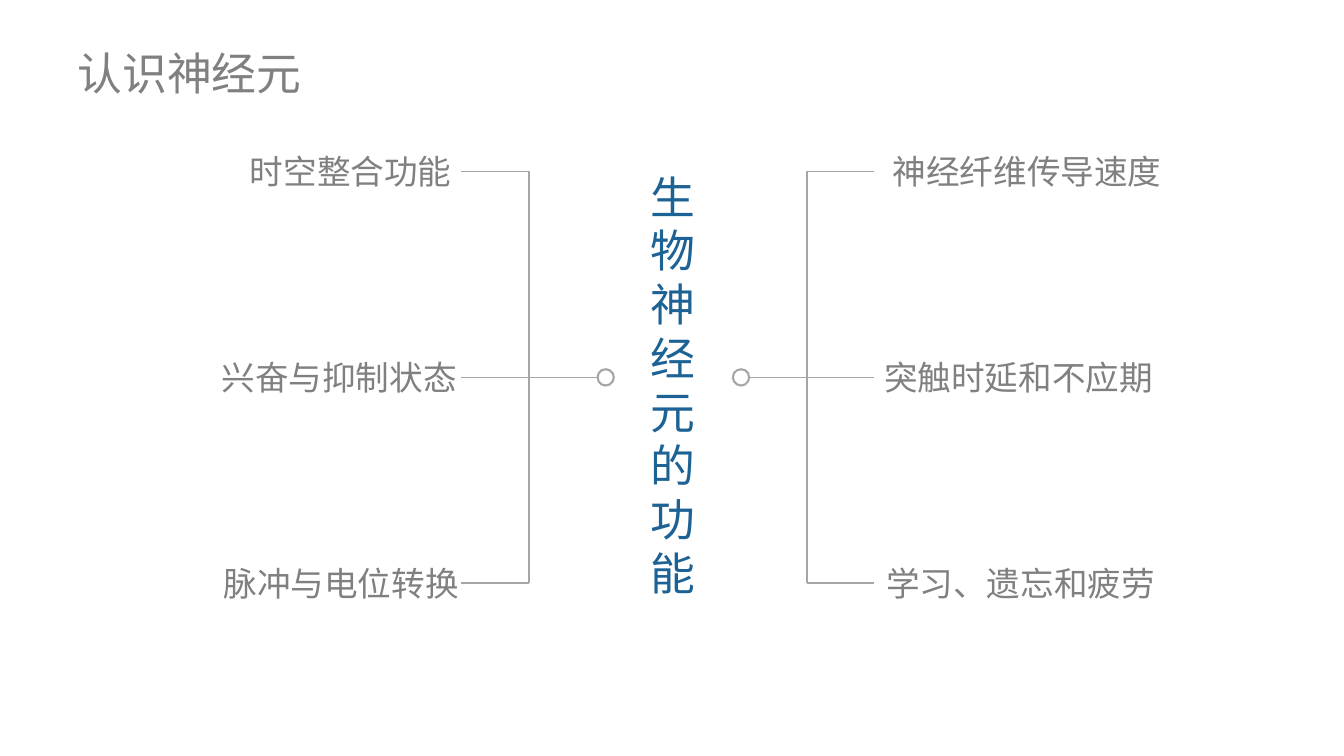
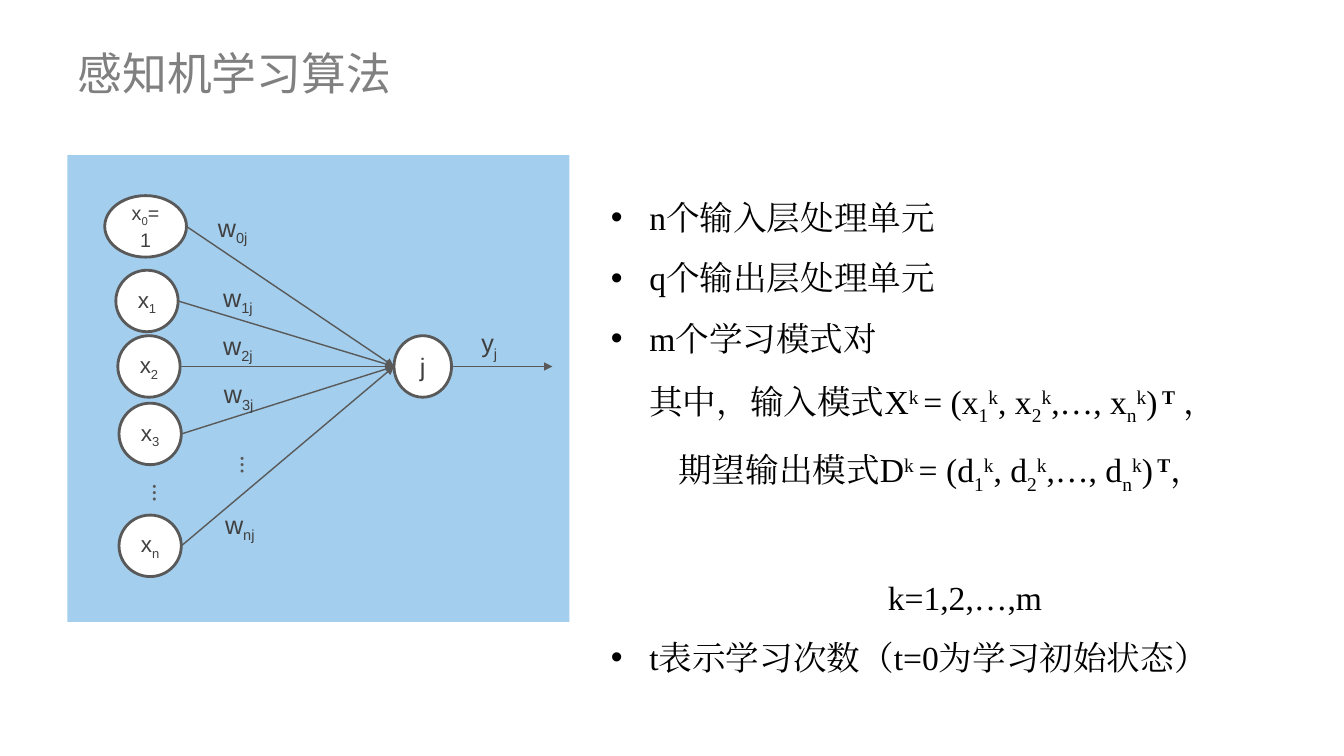
from collections import namedtuple

from lxml.etree import SubElement
from pptx import Presentation
from pptx.dml.color import RGBColor
from pptx.enum.shapes import MSO_CONNECTOR, MSO_SHAPE
from pptx.enum.text import MSO_ANCHOR, MSO_AUTO_SIZE, PP_ALIGN
from pptx.oxml.ns import qn
from pptx.util import Cm, Pt

Box = namedtuple("Box", "left top width height")

CHINESE, LATIN, SERIF = "Noto Sans CJK SC", "Arial", "Times New Roman"
GREY, BLUE, BLACK, WHITE = "808080", "1D6294", "000000", "FFFFFF"
BRACKET, OUTLINE, SYMBOL, PANEL = "A6A6A6", "595959", "404040", "A3CEED"
TITLE_BOX = Box(1.7, 0.76, 30.48, 2.13)
RUN_STYLES = {"^": (30000, False), "_": (-25000, False), "*": (30000, True)}


def color(value):
    """Turn a hex string into a colour."""
    return RGBColor.from_string(value)


def lengths(box):
    """Turn a box in centimetres into slide lengths."""
    return [Cm(value) for value in box]


def write(paragraph, text, size=18, font=LATIN, fill=SYMBOL, align=PP_ALIGN.LEFT):
    """Write runs split by bars, where ^ raises, _ lowers and * raises in bold."""
    paragraph.alignment = align
    for piece in text.split("|"):
        baseline, bold = RUN_STYLES.get(piece[0], (0, False))
        run = paragraph.add_run()
        run.text = piece[1:] if baseline else piece
        run.font.size, run.font.name, run.font.bold = Pt(size), font, bold
        run.font.color.rgb = color(fill)
        properties = run._r.get_or_add_rPr()
        if baseline:
            properties.set("baseline", str(baseline))
        SubElement(properties, qn("a:ea"), typeface=font)


def add_text(slide, box, text, wrap=True, anchor=MSO_ANCHOR.TOP, vertical=False, **text_format):
    """Add a text box with one paragraph and return the paragraph."""
    frame = slide.shapes.add_textbox(*lengths(box)).text_frame
    frame.word_wrap, frame.vertical_anchor = wrap, anchor
    if vertical:
        frame._txBody.bodyPr.set("vert", "eaVert")
    write(frame.paragraphs[0], text, **text_format)
    return frame.paragraphs[0]


def add_shape(slide, kind, box, fill=None, line=None, width=2):
    """Add a flat preset shape."""
    shape = slide.shapes.add_shape(kind, *lengths(box))
    shape.shadow.inherit = False
    if fill:
        shape.fill.solid()
        shape.fill.fore_color.rgb = color(fill)
    else:
        shape.fill.background()
    if line:
        shape.line.color.rgb = color(line)
        shape.line.width = Pt(width)
    else:
        shape.line.fill.background()
    return shape


def add_line(slide, start, end, line, width, arrow=False):
    """Add a straight line, with an arrowhead at its end if asked."""
    connector = slide.shapes.add_connector(MSO_CONNECTOR.STRAIGHT, *lengths(start + end))
    connector.line.color.rgb = color(line)
    connector.line.width = Pt(width)
    if arrow:
        SubElement(connector.line._get_or_add_ln(), qn("a:tailEnd"), type="triangle")
    SubElement(connector._element.spPr, qn("a:effectLst"))


def place(placeholder, box, anchor):
    """Move a placeholder to a box and return its text frame."""
    placeholder.left, placeholder.top, placeholder.width, placeholder.height = lengths(box)
    frame = placeholder.text_frame
    frame.auto_size, frame.word_wrap, frame.vertical_anchor = MSO_AUTO_SIZE.NONE, True, anchor
    return frame


def add_titled_slide(presentation, layout, title):
    """Add a slide with the shared title style."""
    slide = presentation.slides.add_slide(presentation.slide_layouts.get_by_name(layout))
    frame = place(slide.shapes.title, TITLE_BOX, MSO_ANCHOR.MIDDLE)
    write(frame.paragraphs[0], title, size=32, font=CHINESE, fill=GREY)
    return slide


def add_bracket(slide, box, labels, on_left):
    """Draw a three-armed bracket with a ring inside and labels outside."""
    arm, ring, label_width, label_height = 1.7, 0.41, 7.5, 1.28
    right = box.left + box.width
    outer, inner, inward = (box.left, right, 1) if on_left else (right, box.left, -1)
    spine = outer + inward * arm
    rows = [box.top + box.height * step / 2 for step in range(3)]
    ends = [spine, inner - inward * ring, spine]
    add_line(slide, (spine, rows[0]), (spine, rows[2]), BRACKET, 1.25)
    for row, end, (text, shift) in zip(rows, ends, labels):
        add_line(slide, (outer, row), (end, row), BRACKET, 1.25)
        left = outer + shift - (label_width if on_left else 0)
        add_text(slide, Box(left, row - label_height / 2, label_width, label_height), text,
                 anchor=MSO_ANCHOR.MIDDLE, size=24, font=CHINESE, fill=GREY,
                 align=PP_ALIGN.RIGHT if on_left else PP_ALIGN.LEFT)
    ring_left = inner - ring if on_left else inner
    add_shape(slide, MSO_SHAPE.OVAL, Box(ring_left, rows[1] - ring / 2, ring, ring),
              line=BRACKET, width=1.5)


def add_neuron(slide, box, text, size):
    """Draw a round node with its symbol."""
    node = add_shape(slide, MSO_SHAPE.OVAL, box, WHITE, OUTLINE)
    node.text_frame.word_wrap = True
    node.text_frame.vertical_anchor = MSO_ANCHOR.MIDDLE
    write(node.text_frame.paragraphs[0], text, size=size, align=PP_ALIGN.CENTER)


def add_perceptron(slide, box):
    """Draw the perceptron diagram on its panel."""
    height = 1.55

    def inside(left, top, width, height):
        """Place a box relative to the panel."""
        return Box(box.left + left, box.top + top, width, height)

    add_shape(slide, MSO_SHAPE.RECTANGLE, box, PANEL)
    output = inside(8.23, 4.55, 1.45, height)
    output_middle = output.top + height / 2
    inputs = [
        ("x|_0|=1", 14, 0.94, 1.02, 2.06, "w|_0j", 3.53, 1.32),
        ("x|_1", 16, 1.22, 2.9, 1.57, "w|_1j", 3.66, 3.07),
        ("x|_2", 16, 1.27, 4.55, 1.57, "w|_2j", 3.66, 4.29),
        ("x|_3", 16, 1.3, 6.25, 1.57, "w|_3j", 3.68, 5.51),
        ("x|_n", 16, 1.3, 9.07, 1.57, "w|_nj", 3.71, 8.79),
    ]
    for symbol, size, left, top, width, weight, weight_left, weight_top in inputs:
        node = inside(left, top, width, height)
        add_neuron(slide, node, symbol, size)
        add_line(slide, (node.left + width, node.top + height / 2),
                 (output.left, output_middle), OUTLINE, 1, arrow=True)
        add_text(slide, inside(weight_left, weight_top, 1.27, 1.02), weight,
                 wrap=False, align=PP_ALIGN.CENTER)
    for left, top in ((1.65, 8.05), (3.86, 7.34)):
        add_text(slide, inside(left, top, 1.27, 0.76), "…", vertical=True,
                 font="Calibri", fill=OUTLINE)
    add_neuron(slide, output, "j", 18)
    add_line(slide, (output.left + output.width, output_middle),
             (box.left + 12.22, output_middle), OUTLINE, 1, arrow=True)
    add_text(slide, inside(10.11, 4.22, 1.04, 1.02), "y|_j", wrap=False, align=PP_ALIGN.CENTER)


def add_definitions(slide, box):
    """Fill the body placeholder with the list of definitions."""
    hanging = 0.97
    frame = place(slide.placeholders[1], box, MSO_ANCHOR.TOP)
    items = [
        ("n个输入层处理单元", True, hanging, 0),
        ("q个输出层处理单元", True, hanging, 0),
        ("m个学习模式对", True, hanging, 0),
        ("其中，输入模式X|^k |= (x|_1|^k|, x|_2|^k|,…, x|_n|^k|)|* T| ，", False, hanging, 6),
        ("期望输出模式D|^k |= (d|_1|^k|, d|_2|^k|,…, d|_n|^k|)|* T|，", False, 1.7, 6),
        ("k=1,2,…,m", False, 6.98, 44),
        ("t表示学习次数（t=0为学习初始状态）", True, hanging, 0),
    ]
    for index, (text, bullet, margin, gap) in enumerate(items):
        paragraph = frame.add_paragraph() if index else frame.paragraphs[0]
        paragraph.line_spacing, paragraph.space_before = Pt(43), Pt(gap)
        properties = paragraph._p.get_or_add_pPr()
        properties.set("marL", str(Cm(margin)))
        properties.set("indent", str(-Cm(hanging) if bullet else 0))
        if bullet:
            SubElement(properties, qn("a:buChar"), char="•")
        else:
            SubElement(properties, qn("a:buNone"))
        write(paragraph, text, size=24, font=SERIF, fill=BLACK)


def build_functions_slide(presentation):
    """Build the slide on the functions of a neuron."""
    slide = add_titled_slide(presentation, "Title Only", "认识神经元")
    heading = add_text(slide, Box(15.93, 4.14, 2.08, 11.2), "生物神经元的功能", size=32,
                       font=CHINESE, fill=BLUE, align=PP_ALIGN.CENTER)
    heading.line_spacing = Pt(38.4)
    add_bracket(slide, Box(11.63, 4.32, 3.84, 10.38), [
        ("时空整合功能", 0), ("兴奋与抑制状态", 0.13), ("脉冲与电位转换", 0.18)], True)
    add_bracket(slide, Box(18.47, 4.32, 3.56, 10.38), [
        ("神经纤维传导速度", 0.22), ("突触时延和不应期", 0), ("学习、遗忘和疲劳", 0.05)], False)


def build_perceptron_slide(presentation):
    """Build the slide on the perceptron learning algorithm."""
    slide = add_titled_slide(presentation, "Title and Content", "感知机学习算法")
    add_perceptron(slide, Box(1.7, 3.91, 12.65, 11.76))
    add_definitions(slide, Box(15.14, 4.34, 16.97, 13))


def main():
    """Build and save the presentation."""
    presentation = Presentation()
    presentation.slide_width, presentation.slide_height = Cm(33.87), Cm(19.05)
    build_functions_slide(presentation)
    build_perceptron_slide(presentation)
    presentation.save("out.pptx")


if __name__ == "__main__":
    main()
